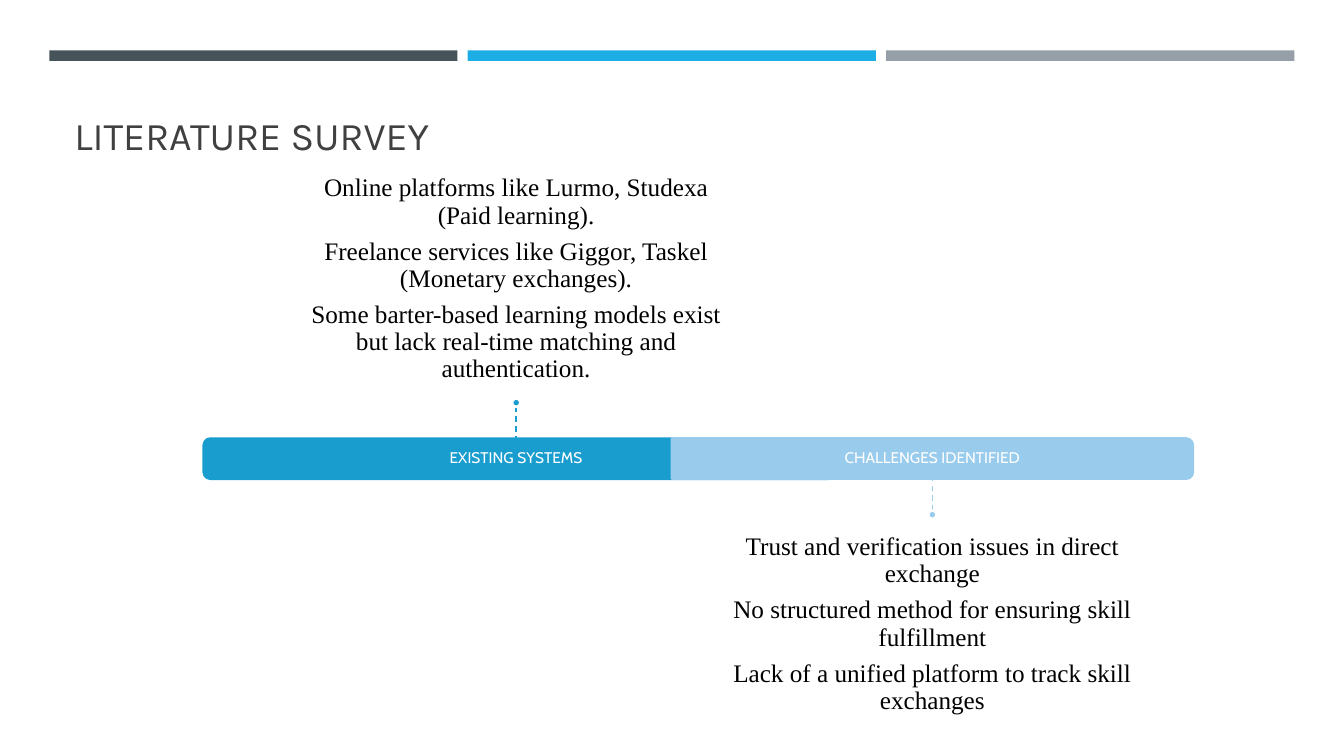
from pptx import Presentation
from pptx.dml.color import RGBColor
from pptx.enum.dml import MSO_LINE
from pptx.enum.shapes import MSO_CONNECTOR, MSO_SHAPE
from pptx.enum.text import MSO_ANCHOR as Anchor, PP_ALIGN as Align
from pptx.oxml.ns import qn
from pptx.util import Pt
from lxml.etree import SubElement

WHITE = RGBColor(0xFF, 0xFF, 0xFF)
BLACK = RGBColor(0x00, 0x00, 0x00)
TITLE_GRAY = RGBColor(0x40, 0x40, 0x40)
SLATE = RGBColor(0x46, 0x53, 0x59)
SKY = RGBColor(0x1C, 0xAD, 0xE4)
SILVER = RGBColor(0x96, 0x9F, 0xA7)
BLUE = RGBColor(0x19, 0x9D, 0xCF)
PALE_BLUE = RGBColor(0x99, 0xCB, 0xEC)

# Timeline measures, in points
AXIS_Y = 327.6
BAR_HEIGHT = 28.8
LABEL_HEIGHT = 26
DOT_SIZE = 5.8
DOT_OFFSET = 40
NOTE_OFFSET = 43
NOTE_WIDTH = 297.4
NOTE_HEIGHT = 100

EXISTING = [
    "Online platforms like Lurmo, Studexa (Paid learning).",
    "Freelance services like Giggor, Taskel (Monetary exchanges).",
    "Some barter-based learning models exist but lack real-time matching "
    "and authentication.",
]
CHALLENGES = [
    "Trust and verification issues in direct exchange",
    "No structured method for ensuring skill fulfillment",
    "Lack of a unified platform to track skill exchanges",
]


def add_block(page, kind, left, top, width, height, fill, outline=None):
    block = page.shapes.add_shape(kind, Pt(left), Pt(top), Pt(width), Pt(height))
    block.shadow.inherit = False
    block.fill.solid()
    block.fill.fore_color.rgb = fill
    if outline is None:
        block.line.fill.background()
    else:
        block.line.color.rgb = outline
        block.line.width = Pt(1.75)
    return block


def add_text(page, left, top, width, height, lines, font, size, color,
             anchor, insets, centred=True):
    box = page.shapes.add_textbox(Pt(left), Pt(top), Pt(width), Pt(height))
    frame = box.text_frame
    frame.word_wrap = True
    frame.vertical_anchor = anchor
    (frame.margin_left, frame.margin_top,
     frame.margin_right, frame.margin_bottom) = map(Pt, insets)
    for index, line in enumerate(lines):
        para = frame.add_paragraph() if index else frame.paragraphs[0]
        if centred:
            para.alignment = Align.CENTER
            para.line_spacing = 0.9
            para.space_after = Pt(size * 0.35)
        span = para.add_run()
        span.text = line
        span.font.name = font
        span.font.size = Pt(size)
        span.font.color.rgb = color


def add_stem(page, x, start, end, color):
    stem = page.shapes.add_connector(
        MSO_CONNECTOR.STRAIGHT, Pt(x), Pt(start), Pt(x), Pt(end))
    stem.line.color.rgb = color
    stem.line.width = Pt(1)
    stem.line.dash_style = MSO_LINE.DASH
    SubElement(stem._element.spPr, qn("a:effectLst"))


def add_stage(page, center, length, color, label, notes, side):
    """Add one half of the timeline; side is -1 for notes above, 1 for below."""
    # Bar, rounded at its outer end
    bar = add_block(page, MSO_SHAPE.ROUND_2_SAME_RECTANGLE,
                    center - BAR_HEIGHT / 2, AXIS_Y - length / 2,
                    BAR_HEIGHT, length, color, color)
    bar.rotation = 90 * side % 360
    add_text(page, center - length / 2, AXIS_Y - LABEL_HEIGHT / 2, length,
             LABEL_HEIGHT, [label], "Cabin", 11, WHITE, Anchor.MIDDLE,
             (6.5, 6.5, 6.5, 6.5))

    # Notes, growing away from the bar
    edge = AXIS_Y + side * NOTE_OFFSET
    if side < 0:
        top, anchor, insets = edge - NOTE_HEIGHT, Anchor.BOTTOM, (0, 0, 0, 10.8)
    else:
        top, anchor, insets = edge, Anchor.TOP, (0, 10.8, 0, 0)
    add_text(page, center - NOTE_WIDTH / 2, top, NOTE_WIDTH, NOTE_HEIGHT,
             notes, "Times New Roman", 18, BLACK, anchor, insets)

    # Dashed stem and dot
    dot_y = AXIS_Y + side * DOT_OFFSET
    add_stem(page, center, dot_y - side * DOT_SIZE / 2,
             AXIS_Y + side * BAR_HEIGHT / 2, color)
    add_block(page, MSO_SHAPE.OVAL, center - DOT_SIZE / 2, dot_y - DOT_SIZE / 2,
              DOT_SIZE, DOT_SIZE, color, WHITE)


def main():
    deck = Presentation()
    deck.slide_width, deck.slide_height = Pt(960), Pt(540)
    page = deck.slides.add_slide(deck.slide_layouts[6])

    # Top stripes
    for column, color in enumerate((SLATE, SKY, SILVER)):
        add_block(page, MSO_SHAPE.RECTANGLE, 35.2 + column * 298.9, 36,
                  291.6, 7.5, color)

    # Title
    add_text(page, 46.1, 23, 868.3, 93.6, ["LITERATURE SURVEY"], "Karla", 28,
             TITLE_GRAY, Anchor.BOTTOM, (7.2, 3.6, 7.2, 3.6), centred=False)

    # Timeline
    add_stage(page, 368.7, 446.4, BLUE, "EXISTING SYSTEMS", EXISTING, -1)
    add_stage(page, 666, 372.2, PALE_BLUE, "CHALLENGES IDENTIFIED", CHALLENGES, 1)

    deck.save("out.pptx")


if __name__ == "__main__":
    main()
